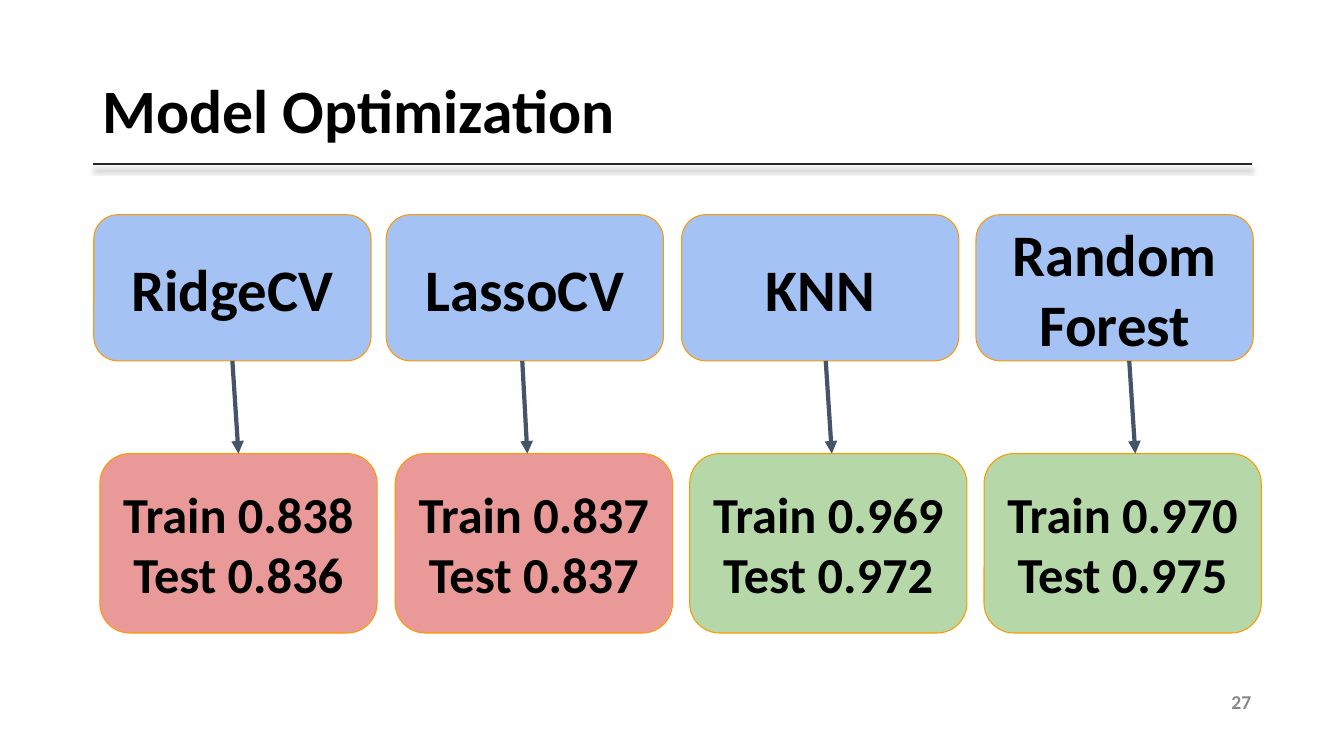
import dataclasses

import pptx
import pptx.dml.color
import pptx.enum.shapes
import pptx.enum.text
import pptx.oxml
import pptx.oxml.ns
import pptx.util

RGBColor = pptx.dml.color.RGBColor
ALIGN = pptx.enum.text.PP_ALIGN

BLACK = RGBColor(0x00, 0x00, 0x00)
GREY = RGBColor(0x88, 0x88, 0x88)
RULE = RGBColor(0x26, 0x26, 0x26)
SLATE = RGBColor(0x44, 0x54, 0x6A)
ORANGE = RGBColor(0xFF, 0x99, 0x00)
BLUE = RGBColor(0xA4, 0xC2, 0xF4)
RED = RGBColor(0xEA, 0x99, 0x99)
GREEN = RGBColor(0xB6, 0xD7, 0xA8)

PX_PER_INCH = 100
FONT = "Calibri"
BOX_WIDTH = 275
MODEL_TOP, MODEL_HEIGHT = 213, 145
SCORE_TOP, SCORE_HEIGHT = 450, 178
SHADOW = (
    '<a:outerShdw blurRad="50800" dist="38100" dir="5400000" rotWithShape="0">'
    '<a:srgbClr val="000000"><a:alpha val="40000"/></a:srgbClr></a:outerShdw>'
)


@dataclasses.dataclass(frozen=True)
class Model:
    name: str
    train: str
    test: str
    color: RGBColor
    model_left: int
    score_left: int
    arrow_start: int
    arrow_end: int


MODELS = [
    Model("RidgeCV", "0.838", "0.836", RED, 93, 99, 231, 236),
    Model("LassoCV", "0.837", "0.837", RED, 383, 392, 518, 523),
    Model("KNN", "0.969", "0.972", GREEN, 676, 684, 819, 825),
    Model("Random Forest", "0.970", "0.975", GREEN, 968, 976, 1120, 1126),
]


def px(length: int) -> int:
    return length * pptx.util.Inches(1) // PX_PER_INCH


def write(frame, lines: list[str], size: int, color: RGBColor, align, inset: int) -> None:
    frame.word_wrap = True
    frame.auto_size = pptx.enum.text.MSO_AUTO_SIZE.NONE
    frame.vertical_anchor = pptx.enum.text.MSO_ANCHOR.MIDDLE
    frame.margin_left = frame.margin_right = px(10)
    frame.margin_top = frame.margin_bottom = px(inset)
    frame.text = "\n".join(lines)
    for para in frame.paragraphs:
        para.alignment = align
        for span in para.runs:
            span.font.name = FONT
            span.font.size = pptx.util.Pt(size)
            span.font.bold = True
            span.font.color.rgb = color


def add_box(page, left: int, top: int, height: int, fill: RGBColor, lines: list[str], size: int):
    box = page.shapes.add_shape(
        pptx.enum.shapes.MSO_SHAPE.ROUNDED_RECTANGLE,
        px(left), px(top), px(BOX_WIDTH), px(height),
    )
    box.shadow.inherit = False
    box.fill.solid()
    box.fill.fore_color.rgb = fill
    box.line.color.rgb = ORANGE
    box.line.width = pptx.util.Pt(0.75)
    write(box.text_frame, lines, size, BLACK, ALIGN.CENTER, 10)
    return box


def add_line(page, start: tuple[int, int], end: tuple[int, int], color: RGBColor,
             width: float, effect: str = ""):
    line = page.shapes.add_connector(
        pptx.enum.shapes.MSO_CONNECTOR.STRAIGHT, *map(px, start + end)
    )
    line.line.color.rgb = color
    line.line.width = pptx.util.Pt(width)
    namespace = pptx.oxml.ns.nsdecls("a")
    line._element.spPr.append(
        pptx.oxml.parse_xml(f"<a:effectLst {namespace}>{effect}</a:effectLst>")
    )
    return line


def add_arrow(page, start: tuple[int, int], end: tuple[int, int]):
    arrow = add_line(page, start, end, SLATE, 3)
    namespace = pptx.oxml.ns.nsdecls("a")
    arrow.line._get_or_add_ln().append(
        pptx.oxml.parse_xml(f'<a:tailEnd {namespace} type="triangle"/>')
    )
    return arrow


def add_model(page, model: Model) -> None:
    model_box = add_box(
        page, model.model_left, MODEL_TOP, MODEL_HEIGHT, BLUE, [model.name], 42
    )
    scores = [f"Train {model.train}", f"Test {model.test}"]
    score_box = add_box(
        page, model.score_left, SCORE_TOP, SCORE_HEIGHT, model.color, scores, 36
    )
    arrow = add_arrow(
        page, (model.arrow_start, MODEL_TOP + MODEL_HEIGHT), (model.arrow_end, SCORE_TOP)
    )
    if abs(model.arrow_start - model.model_left - BOX_WIDTH / 2) < 1:
        arrow.begin_connect(model_box, 2)
    if abs(model.arrow_end - model.score_left - BOX_WIDTH / 2) < 1:
        arrow.end_connect(score_box, 0)


def main() -> None:
    deck = pptx.Presentation()
    deck.slide_width, deck.slide_height = px(1333), px(750)
    page = deck.slides.add_slide(deck.slide_layouts[5])

    title = page.shapes.title
    title.left, title.top, title.width, title.height = map(px, (92, 40, 1150, 145))
    write(title.text_frame, ["Model Optimization"], 44, BLACK, ALIGN.LEFT, 5)
    title.text_frame.paragraphs[0].line_spacing = 0.9
    add_line(page, (92, 163), (1242, 163), RULE, 1.5, SHADOW)

    number = page.shapes.add_textbox(*map(px, (951, 676, 300, 40)))
    write(number.text_frame, ["27"], 14, GREY, ALIGN.RIGHT, 5)

    for model in MODELS:
        add_model(page, model)

    deck.save("out.pptx")


if __name__ == "__main__":
    main()
